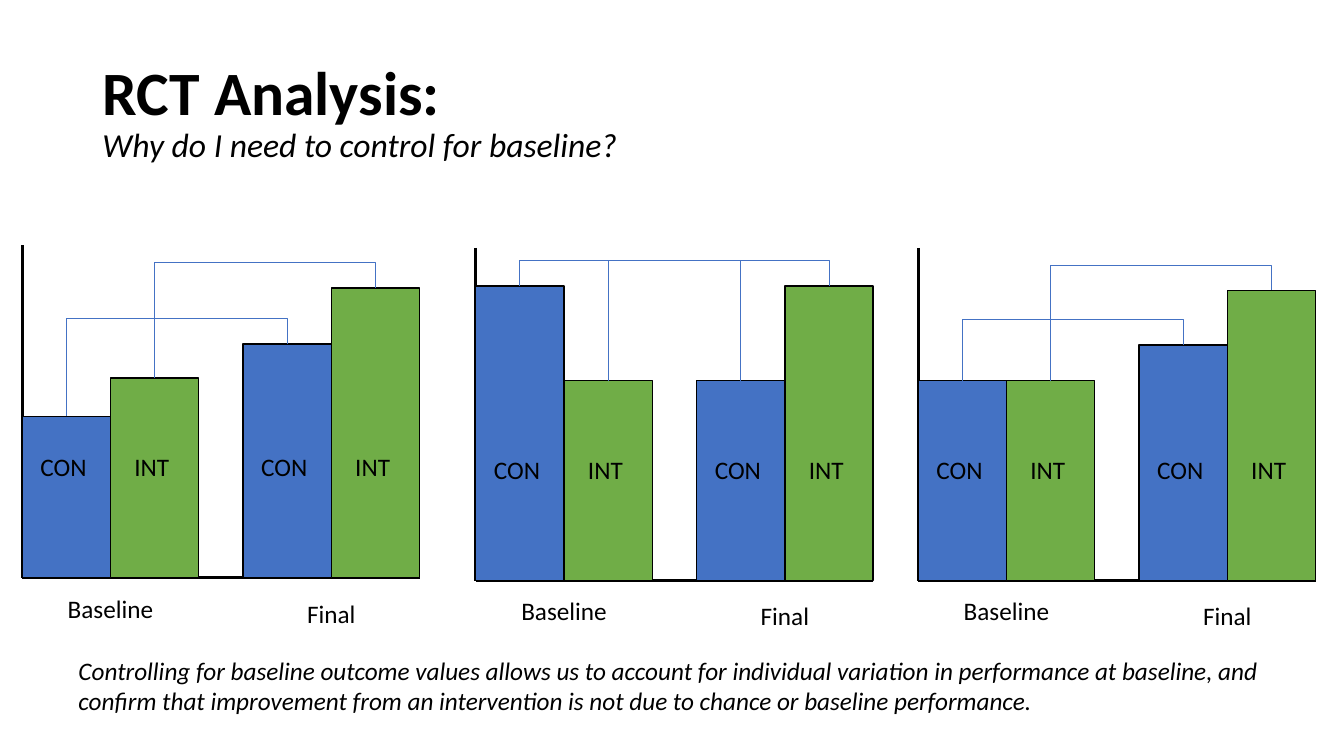
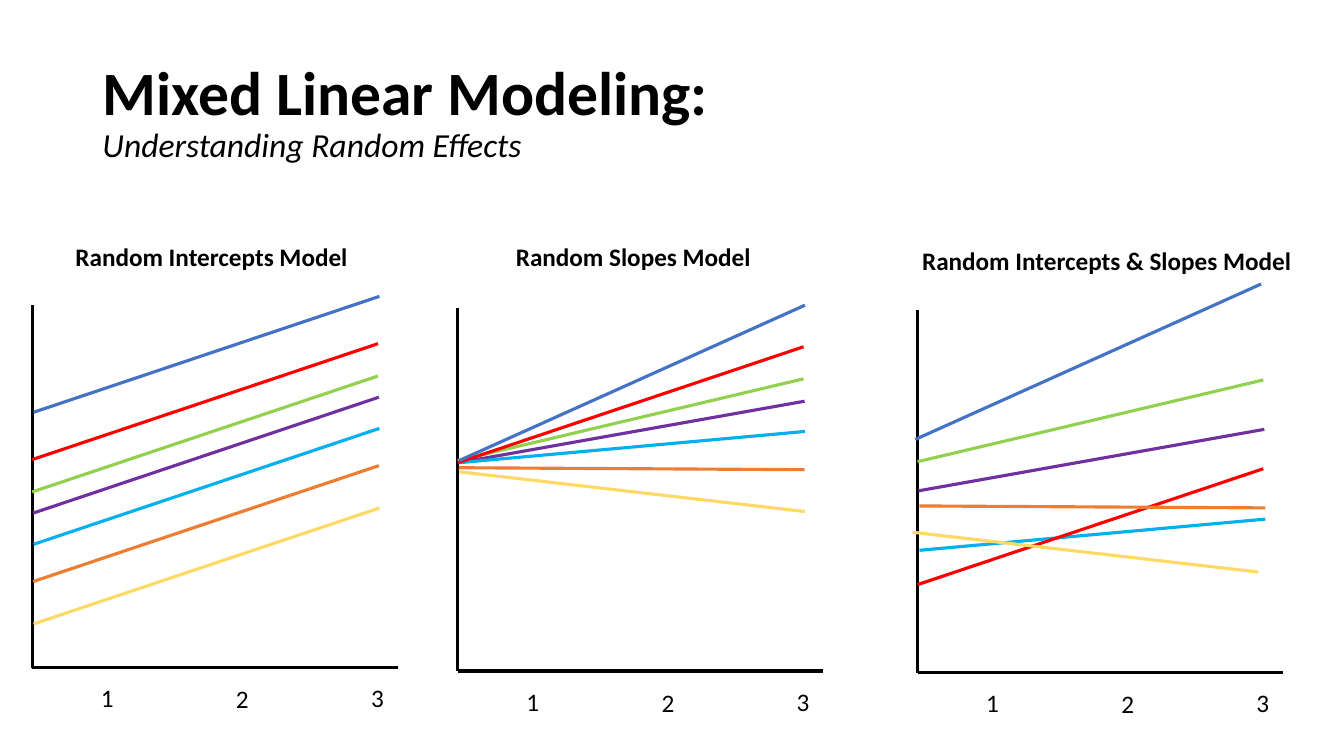
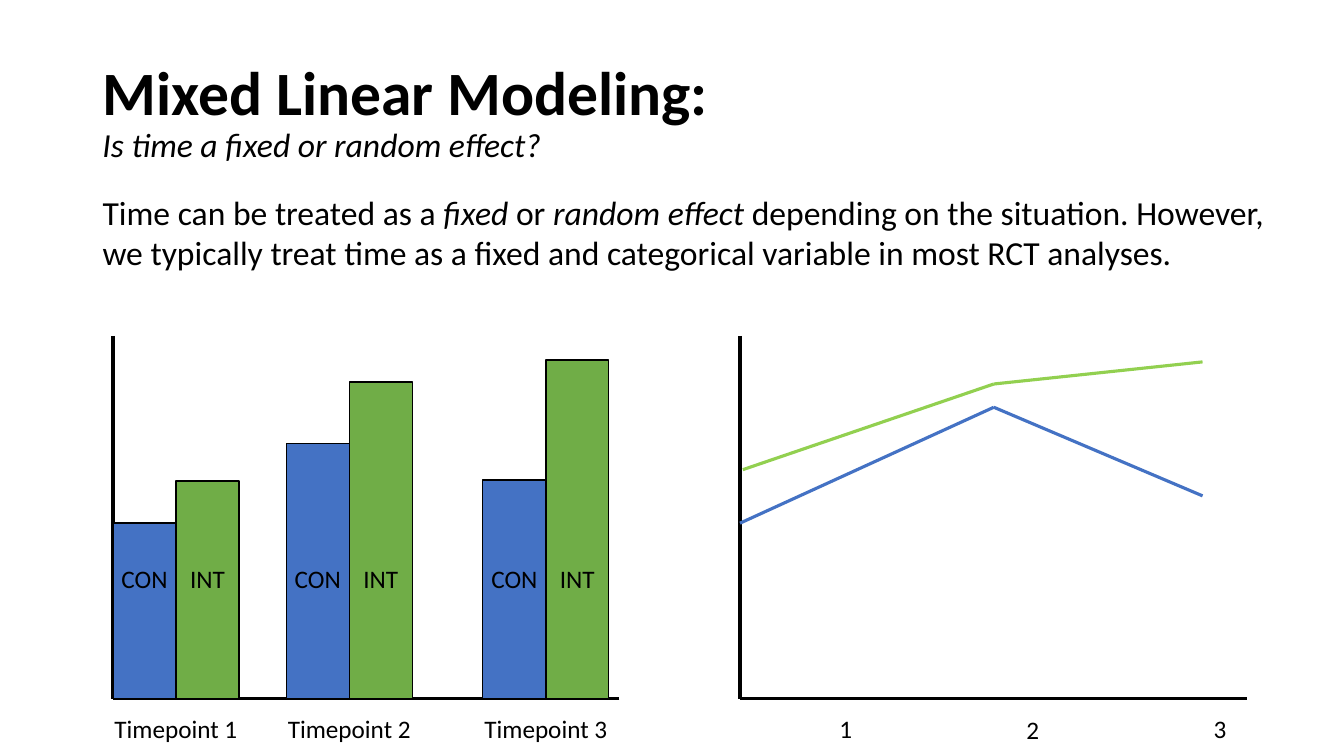
from pptx import Presentation
from pptx.dml.color import RGBColor
from pptx.enum.shapes import MSO_CONNECTOR, MSO_SHAPE
from pptx.enum.text import MSO_ANCHOR, MSO_AUTO_SIZE, PP_ALIGN
from pptx.oxml.ns import qn
from pptx.util import Pt
from lxml import etree

STRAIGHT, ELBOW = MSO_CONNECTOR.STRAIGHT, MSO_CONNECTOR.ELBOW
RECTANGLE = MSO_SHAPE.RECTANGLE
LEFT, CENTER = PP_ALIGN.LEFT, PP_ALIGN.CENTER
MIDDLE = MSO_ANCHOR.MIDDLE
NO_AUTOFIT = MSO_AUTO_SIZE.NONE

FONT = "Calibri"
BLACK, BLUE, GREEN, LIME = "000000", "4472C4", "70AD47", "92D050"
SUBJECT_COLORS = [LIME, "7030A0", "00B0F0", "FF0000", BLUE, "ED7D31", "FFD966"]
ARMS = [("CON", BLUE), ("INT", GREEN)]

HEADLINE = {"size": Pt(44), "bold": True, "italic": False}
SUBTITLE = {"size": Pt(24), "bold": False, "italic": True}
BODY = {"size": Pt(24)}
BODY_ITALIC = {"size": Pt(24), "italic": True}
LABEL = {"size": Pt(18)}
NOTE = {"size": Pt(18), "italic": True}
MODEL_NAME = {"size": Pt(18), "bold": True}

LABEL_HEIGHT = 29
BRACKET_LIFT = 18
SUBJECT_RUN = 247


def rgb(hex_color):
    return RGBColor.from_string(hex_color)


def style_line(line, color, weight):
    line.color.rgb = rgb(color)
    line.width = Pt(weight)


def add_run(paragraph, text, style):
    run = paragraph.add_run()
    run.text = text
    run.font.color.rgb = rgb(BLACK)
    for attribute, value in {"name": FONT, **style}.items():
        setattr(run.font, attribute, value)


def add_text(slide, box, runs, align=LEFT, wrap=True):
    frame = slide.shapes.add_textbox(*map(Pt, box)).text_frame
    frame.word_wrap = wrap
    paragraph = frame.paragraphs[0]
    paragraph.alignment = align
    for text, style in runs:
        add_run(paragraph, text, style)


def add_label(slide, center, top, width, text):
    box = (center - width / 2, top, width, LABEL_HEIGHT)
    add_text(slide, box, [(text, LABEL)], CENTER, wrap=False)


def add_titled_slide(deck, headline, subtitle):
    slide = deck.slides.add_slide(deck.slide_layouts[5])
    frame = slide.shapes.title.text_frame
    for attribute, value in {"vertical_anchor": MIDDLE, "auto_size": NO_AUTOFIT,
                             "word_wrap": True}.items():
        setattr(frame, attribute, value)
    paragraph = frame.paragraphs[0]
    paragraph.alignment = LEFT
    paragraph.line_spacing = 0.9
    add_run(paragraph, headline, HEADLINE)
    paragraph.add_line_break()
    add_run(paragraph, subtitle, SUBTITLE)
    return slide


def add_line(slide, start, end, color=BLACK, weight=2.25, kind=STRAIGHT):
    line = slide.shapes.add_connector(kind, *map(Pt, (*start, *end)))
    style_line(line.line, color, weight)
    etree.SubElement(line._element.spPr, qn("a:effectLst"))
    return line


def add_axes(slide, origin, base, width, height):
    add_line(slide, (origin, base - height), (origin, base))
    add_line(slide, (origin + width, base), (origin, base))


def add_bracket(slide, left, left_top, right, right_top):
    rise, span = abs(left_top - right_top), right - left
    x = (left + right - rise) / 2
    y = (left_top + right_top - span) / 2
    bracket = add_line(slide, (x, y), (x + rise, y + span), BLUE, 0.5, ELBOW)
    properties = bracket._element.spPr
    frame = properties.find(qn("a:xfrm"))
    frame.set("rot", "5400000")
    frame.set("flipH", "1")
    if left_top > right_top:
        frame.set("flipV", "1")
    adjustments = properties.find(qn("a:prstGeom")).get_or_add_avLst()
    bend = round(100000 * (1 + BRACKET_LIFT / rise))
    etree.SubElement(adjustments, qn("a:gd"), name="adj1", fmla=f"val {bend}")


def add_bar(slide, left, base, width, height, color):
    bar = slide.shapes.add_shape(RECTANGLE, *map(Pt, (left, base - height, width, height)))
    bar.shadow.inherit = False
    bar.fill.solid()
    bar.fill.fore_color.rgb = rgb(color)
    style_line(bar.line, BLACK, 1)


def add_bar_pair(slide, left, base, width, heights, label_rise, label_width, label_shift=0):
    for arm, ((name, color), height) in enumerate(zip(ARMS, heights)):
        bar_left = left + arm * width
        add_bar(slide, bar_left, base, width, height, color)
        add_label(slide, bar_left + width / 2 + label_shift, base - label_rise,
                  label_width, name)


def add_trial(slide, origin, base, baseline, final):
    bar, label_width = 63.1, 126.7
    final_left = origin + 2.5 * bar
    add_axes(slide, origin, base, 284, 237.6)
    for left, heights, stage, drop in [(origin, baseline, "Baseline", 7.2),
                                       (final_left, final, "Final", 10.8)]:
        add_bar_pair(slide, left, base, bar, heights, 93.6, label_width, -2)
        add_label(slide, left + bar, base + drop, label_width, stage)
    for arm, (before, after) in enumerate(zip(baseline, final)):
        middle = (arm + 0.5) * bar
        add_bracket(slide, origin + middle, base - before, final_left + middle, base - after)


def add_ticks(slide, origin, base, first, step, width):
    for index, drop in enumerate((7.2, 8, 7.2)):
        add_label(slide, origin + first + index * step, base + drop, width, str(index + 1))


def add_model(slide, origin, base, starts, rises, shifts):
    add_axes(slide, origin, base, 261, 259)
    add_ticks(slide, origin, base, 53.6, 96.5, 116)
    for color, start, rise, shift in zip(SUBJECT_COLORS, starts, rises, shifts):
        left = origin + shift
        add_line(slide, (left, start), (left + SUBJECT_RUN, start - rise), color)


def build_baseline_slide(deck):
    slide = add_titled_slide(deck, "RCT Analysis:", "Why do I need to control for baseline?")
    add_trial(slide, 15.8, 412.7, (115.4, 142.6), (167, 207))
    add_trial(slide, 339.8, 414.7, (210.4, 142.8), (142.8, 210.4))
    add_trial(slide, 655.8, 414.7, (142.8, 142.8), (168.3, 207.2))
    conclusion = ("Controlling for baseline outcome values allows us to account for individual "
                  "variation in performance at baseline, and confirm that improvement from an "
                  "intervention is not due to chance or baseline performance.")
    add_text(slide, (49, 464.4, 878.4, 51), [(conclusion, NOTE)])


def build_random_effects_slide(deck):
    slide = add_titled_slide(deck, "Mixed Linear Modeling:", "Understanding Random Effects")
    equal_rises = [82.8] * len(SUBJECT_COLORS)
    varied_rises = [58.4, 43.9, 22.3, 82.8, 111, -1.4, -28.4]
    shifts = [0, 0.7, 1, 0, 1, 0.7, 1]
    add_model(slide, 23, 476.8, [351.4, 366.5, 388.8, 328.3, 294.5, 415.4, 445.7],
              equal_rises, shifts)
    add_model(slide, 327, 479.3, [329, 330.5, 330.5, 330.5, 329, 334.1, 337],
              varied_rises, shifts)
    add_model(slide, 655.4, 480.4, [329.8, 350.6, 393.1, 417.6, 313.9, 361.4, 380.2],
              varied_rises, [0, 0.7, 1.4, 0, -1.6, 1.4, -3.6])
    for left, top, width, name in [(46.8, 168.5, 212.4, "Random Intercepts Model"),
                                   (361.4, 168.5, 212.4, "Random Slopes Model"),
                                   (651.6, 171.4, 285, "Random Intercepts & Slopes Model")]:
        add_text(slide, (left, top, width, LABEL_HEIGHT), [(name, MODEL_NAME)])


def build_time_slide(deck):
    slide = add_titled_slide(deck, "Mixed Linear Modeling:", "Is time a fixed or random effect?")
    add_text(slide, (66.2, 133.2, 873.4, 177), [
        ("Time can be treated as a ", BODY), ("fixed ", BODY_ITALIC), ("or ", BODY),
        ("random effect", BODY_ITALIC),
        (" depending on the situation. However, we typically treat time as a fixed and "
         "categorical variable in most RCT analyses.", BODY)])

    base, bar = 499, 45
    bars_origin, trend_origin = 80.7, 528.6
    for origin in (bars_origin, trend_origin):
        add_axes(slide, origin, base, 361.8, 259)
    timepoints = [(bars_origin, (125.3, 155.5)), (204.5, (182.2, 226.1)),
                  (344.9, (156, 241.9))]
    for number, (left, heights) in enumerate(timepoints, 1):
        add_bar_pair(slide, left, base, bar, heights, 100, 54)
        add_label(slide, left + bar, base + 7.2, 161.3, f"Timepoint {number}")

    add_ticks(slide, trend_origin, base, 75.6, 133.6, 161.3)
    trends = [(BLUE, [(trend_origin, 373.7), (709.9, 290.9), (859, 354.2)]),
              (LIME, [(530.6, 335.5), (709.9, 274.3), (859, 258.5)])]
    for color, points in trends:
        for start, end in zip(points, points[1:]):
            add_line(slide, start, end, color)


def main():
    deck = Presentation()
    deck.slide_width, deck.slide_height = Pt(960), Pt(540)
    title = deck.slide_layouts[5].placeholders[0]
    for attribute, value in {"left": 66, "top": 28.8, "width": 828, "height": 104.4}.items():
        setattr(title, attribute, Pt(value))
    build_baseline_slide(deck)
    build_random_effects_slide(deck)
    build_time_slide(deck)
    deck.save("out.pptx")


main()
